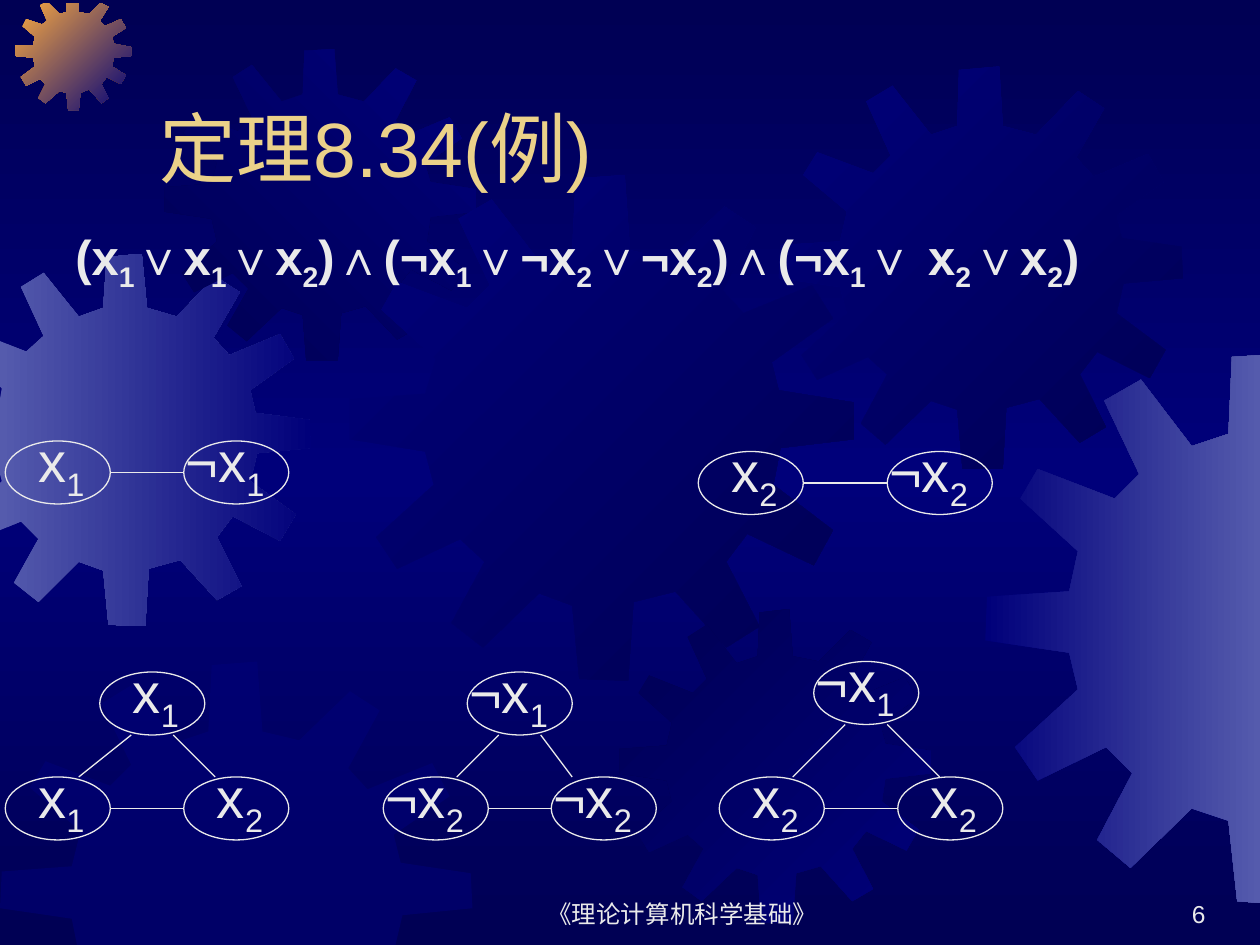
from copy import deepcopy
from pptx import Presentation
from pptx import util as u
from pptx.dml import color
from pptx.enum import shapes, text
from pptx.oxml import ns, xmlchemy

WIDTH, HEIGHT = 720, 540
NAVY, BLUE, PERIWINKLE, ORANGE = "000054", "00007A", "555BAD", "FCAB40"
PALE, GOLD = "EAEAEA", "EBD189"
NODE_W, NODE_H = 60, 36
GEAR_SPAN = 401
GEAR_OUTLINE = [
    (255, 67), (223, 59), (219, 0), (180, 3), (177, 59), (151, 68),
    (113, 20), (87, 35), (112, 88), (94, 106), (38, 85), (25, 107),
    (68, 145), (61, 174), (1, 178), (0, 210), (61, 219), (67, 246),
    (22, 287), (38, 312), (88, 288), (107, 307), (81, 355), (106, 375),
    (151, 332), (177, 341), (183, 400), (222, 401), (226, 339), (259, 330),
    (299, 374), (325, 358), (299, 306), (316, 284), (368, 309), (384, 281),
    (336, 246), (342, 216), (401, 210), (400, 180), (341, 171), (335, 148),
    (383, 114), (367, 87), (313, 109), (296, 91), (323, 41), (297, 25),
]
GEARS = [
    (-34.6, 145, 212.5, PERIWINKLE, BLUE, 0),
    (8.6, -3, 66.2, ORANGE, BLUE, 45),
    (94, 28, 178.5, NAVY, BLUE, 315),
    (199.5, 100, 289, BLUE, NAVY, 45),
    (0, 378, 269.5, BLUE, None, 0),
    (354, 348.5, 178.5, NAVY, BLUE, 45),
    (445, 38, 230.5, BLUE, NAVY, 45),
    (563, 201.5, 314.5, BLUE, PERIWINKLE, 0),
]
FORMULA = [
    "(x", "1", "∨x", "1", "∨x", "2", ")∧(¬x", "1", "∨¬x", "2", "∨¬x", "2",
    ")∧(¬x", "1", "∨ x", "2", "∨x", "2", ")",
]
PAIRS = [
    (("x", "1", 3, 252), ("¬x", "1", 105, 252)),
    (("x", "2", 399, 258), ("¬x", "2", 507, 258)),
]
TRIANGLES = [
    (("x", "1", 57, 384), ("x", "1", 3, 444), ("x", "2", 105, 444), 18),
    (("¬x", "1", 267, 384), ("¬x", "2", 219, 444), ("¬x", "2", 315, 444), 12),
    (("¬x", "1", 465, 378), ("x", "2", 411, 444), ("x", "2", 513, 444), 24),
]


def rgb(value):
    return color.RGBColor.from_string(value)


def pts(*lengths):
    return [u.Pt(length) for length in lengths]


def clip(outline, axis, limit, sign):
    kept = []
    for start, end in zip(outline, outline[1:] + outline[:1]):
        start_in = sign * (start[axis] - limit) >= 0
        end_in = sign * (end[axis] - limit) >= 0
        if start_in:
            kept.append(start)
        if start_in != end_in:
            share = (limit - start[axis]) / (end[axis] - start[axis])
            kept.append(tuple(a + share * (b - a) for a, b in zip(start, end)))
    return kept


def set_gradient(fill, first, last, angle):
    fill.gradient()
    fill.gradient_angle = (360 - angle) % 360
    for stop, value in zip(fill.gradient_stops, (first, last)):
        stop.color.rgb = rgb(value)


def paint_background(slide):
    fill = slide.background.fill
    set_gradient(fill, NAVY, NAVY, 90)
    first = slide.element.find(".//" + ns.qn("a:gs"))
    first.addnext(deepcopy(first))
    middle = fill.gradient_stops[1]
    middle.position = 0.5
    middle.color.rgb = rgb(BLUE)


def add_gear(slide, left, top, size, first, last, angle):
    scale = size / GEAR_SPAN
    outline = [(left + x * scale, top + y * scale) for x, y in GEAR_OUTLINE]
    for axis, limit, sign in ((0, 0, 1), (0, WIDTH, -1), (1, 1.5, 1), (1, HEIGHT, -1)):
        outline = clip(outline, axis, limit, sign)
    builder = slide.shapes.build_freeform(*outline[0], scale=u.Pt(1))
    builder.add_line_segments(outline[1:], close=True)
    gear = builder.convert_to_shape()
    gear.shadow.inherit = False
    gear.line.fill.background()
    if last:
        set_gradient(gear.fill, first, last, angle)
    else:
        gear.fill.solid()
        gear.fill.fore_color.rgb = rgb(first)
        tint = gear.element.spPr.find(".//" + ns.qn("a:srgbClr"))
        xmlchemy.OxmlElement("a:alpha")
        alpha = xmlchemy.OxmlElement("a:alpha")
        alpha.set("val", "50000")
        tint.append(alpha)


def format_run(run, size, value=PALE, bold=False):
    run.font.name = "Arial"
    run.font.size = u.Pt(size)
    run.font.bold = bold
    run.font.color.rgb = rgb(value)


def add_title(slide, words):
    title = slide.shapes.title
    title.element.getparent().append(title.element)
    title.left, title.top, title.width, title.height = pts(84, 24, 612, 90)
    frame = title.text_frame
    frame.text = words
    frame.auto_size = text.MSO_AUTO_SIZE.NONE
    frame.vertical_anchor = text.MSO_ANCHOR.BOTTOM
    frame.paragraphs[0].alignment = text.PP_ALIGN.LEFT
    format_run(frame.paragraphs[0].runs[0], 44, GOLD)


def add_text(slide, box, pieces, size, bold=False, align=text.PP_ALIGN.LEFT,
             anchor=text.MSO_ANCHOR.TOP):
    frame = slide.shapes.add_textbox(*pts(*box)).text_frame
    frame.word_wrap = True
    frame.vertical_anchor = anchor
    line = frame.paragraphs[0]
    line.alignment = align
    for piece in pieces:
        run = line.add_run()
        run.text = piece
        format_run(run, size, bold=bold)
        if piece in ("1", "2"):
            run.font._element.set("baseline", "-25000")
    return frame


def add_node(slide, literal, index, left, top):
    node = slide.shapes.add_shape(
        shapes.MSO_SHAPE.OVAL, *pts(left, top, NODE_W, NODE_H))
    node.shadow.inherit = False
    node.fill.background()
    node.line.color.rgb = rgb(PALE)
    node.line.width = u.Pt(0.75)
    label = add_text(slide, (left - 6, top - 12, 66, 45), (literal, index), 32)
    if literal == "x":
        label.margin_left = u.Pt(25)


def add_edge(slide, *ends):
    edge = slide.shapes.add_connector(shapes.MSO_CONNECTOR.STRAIGHT, *pts(*ends))
    edge.line.color.rgb = rgb(PALE)
    edge.line.width = u.Pt(0.75)
    edge.element.spPr.append(xmlchemy.OxmlElement("a:effectLst"))


def add_pair(slide, left_node, right_node):
    add_node(slide, *left_node)
    add_node(slide, *right_node)
    middle = left_node[3] + NODE_H / 2
    add_edge(slide, left_node[2] + NODE_W, middle, right_node[2], middle)


def add_triangle(slide, apex, left_node, right_node, right_offset):
    add_node(slide, *apex)
    add_pair(slide, left_node, right_node)
    x, foot = apex[2], apex[3] + NODE_H
    add_edge(slide, x + 18, foot, left_node[2] + 42, left_node[3])
    add_edge(slide, x + 42, foot, right_node[2] + right_offset, right_node[3])


def main():
    deck = Presentation()
    deck.slide_width, deck.slide_height = pts(WIDTH, HEIGHT)
    slide = deck.slides.add_slide(deck.slide_layouts[5])
    paint_background(slide)
    for gear in GEARS:
        add_gear(slide, *gear)
    bottom = text.MSO_ANCHOR.BOTTOM
    add_text(slide, (276, 498, 228, 36), ["《理论计算机科学基础》"], 14,
             align=text.PP_ALIGN.CENTER, anchor=bottom)
    add_text(slide, (546, 498, 150, 36), ["6"], 14,
             align=text.PP_ALIGN.RIGHT, anchor=bottom)
    add_title(slide, "定理8.34(例)")
    add_text(slide, (36, 126, 648, 106), FORMULA, 28, bold=True)
    for pair in PAIRS:
        add_pair(slide, *pair)
    for triangle in TRIANGLES:
        add_triangle(slide, *triangle)
    deck.save("out.pptx")


if __name__ == "__main__":
    main()
